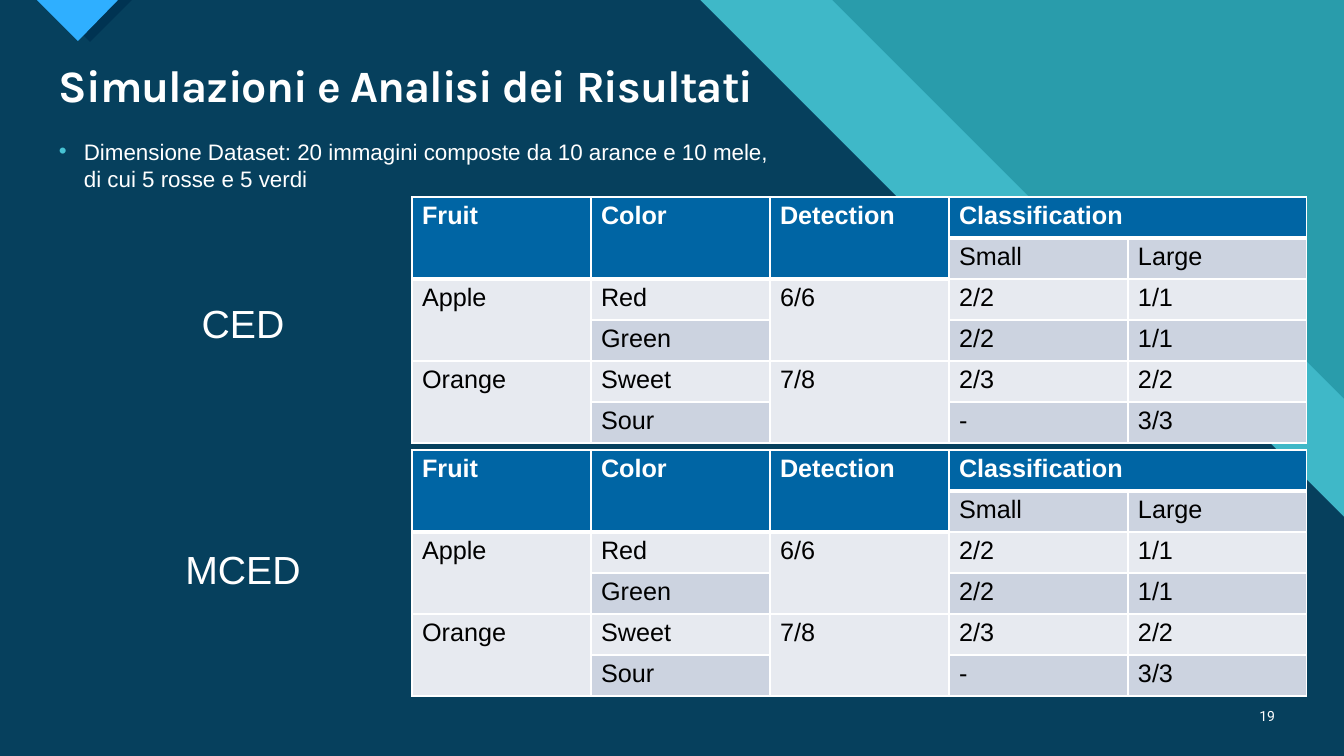
from lxml.etree import SubElement
from pptx import Presentation
from pptx.dml.color import RGBColor
from pptx.enum.text import MSO_ANCHOR, PP_ALIGN
from pptx.oxml.ns import qn
from pptx.util import Pt

EMU_PER_PX = 914400 / 100.8
SLIDE_W, SLIDE_H = 1344, 756

WHITE, BLACK = "FFFFFF", "000000"
NAVY, TEAL, AQUA, SKY = "003352", "299CAB", "47C3D3", "2FAFFF"
HEADING_BLUE, BAND_LIGHT, BAND_DARK = "0065A4", "E7EAF0", "CCD3E0"

COLUMN_W, ROW_H = 179, 41
HEADING_ROWS = [2, 2, 2, 1, 1]
RESULTS = [
    ["Fruit", "Color", "Detection", "Classification", ""],
    ["", "", "", "Small", "Large"],
    ["Apple", "Red", "6/6", "2/2", "1/1"],
    ["", "Green", "", "2/2", "1/1"],
    ["Orange", "Sweet", "7/8", "2/3", "2/2"],
    ["", "Sour", "", "-", "3/3"],
]
# Merged areas: first row, first column, last row, last column
MERGES = [(0, 0, 1, 0), (0, 1, 1, 1), (0, 2, 1, 2), (0, 3, 0, 4),
          (2, 0, 3, 0), (2, 2, 3, 2), (4, 0, 5, 0), (4, 2, 5, 2)]


def px(length):
    return round(length * EMU_PER_PX)


def rgb(color):
    return RGBColor.from_string(color)


def write_text(frame, text, size=18, font="Arial", color=WHITE, bold=False,
               align=PP_ALIGN.LEFT, line_spacing=None, tracking=None, bullet=None):
    paragraph = frame.paragraphs[0]
    paragraph.alignment = align
    if line_spacing:
        paragraph.line_spacing = line_spacing
    if bullet:
        properties = paragraph._p.get_or_add_pPr()
        properties.set("marL", str(px(25)))
        properties.set("indent", str(-px(25)))
        bullet_color = SubElement(properties, qn("a:buClr"))
        SubElement(bullet_color, qn("a:srgbClr"), val=bullet)
        SubElement(properties, qn("a:buFont"), typeface="Arial")
        SubElement(properties, qn("a:buChar"), char="•")
    run = paragraph.add_run()
    run.text = text
    run.font.size = Pt(size)
    run.font.name = font
    run.font.bold = bold
    run.font.color.rgb = rgb(color)
    if tracking:
        run._r.get_or_add_rPr().set("spc", str(tracking))


def add_label(slide, box, text, anchor=MSO_ANCHOR.TOP, **text_format):
    frame = slide.shapes.add_textbox(*map(px, box)).text_frame
    frame.word_wrap = True
    frame.vertical_anchor = anchor
    write_text(frame, text, **text_format)


def add_polygon(slide, points, color, opacity=100):
    builder = slide.shapes.build_freeform(*points[0], scale=EMU_PER_PX)
    builder.add_line_segments(points[1:], close=True)
    polygon = builder.convert_to_shape()
    polygon.shadow.inherit = False
    polygon.line.fill.background()
    polygon.fill.solid()
    polygon.fill.fore_color.rgb = rgb(color)
    if opacity < 100:
        fill_color = polygon._element.spPr.find(".//" + qn("a:srgbClr"))
        SubElement(fill_color, qn("a:alpha"), val=str(opacity * 1000))


def add_borders(cell, top, bottom):
    properties = cell._tc.get_or_add_tcPr()
    for side, width in (("L", 1), ("R", 1), ("T", top), ("B", bottom)):
        border = SubElement(properties, qn(f"a:ln{side}"), w=str(Pt(width)))
        fill = SubElement(border, qn("a:solidFill"))
        SubElement(fill, qn("a:srgbClr"), val=WHITE)


def add_results(slide, left, top):
    rows, columns = len(RESULTS), len(HEADING_ROWS)
    table = slide.shapes.add_table(
        rows, columns, px(left), px(top),
        px(columns * COLUMN_W), px(rows * ROW_H)).table
    table.first_row = table.horz_banding = False
    for column in table.columns:
        column.width = px(COLUMN_W)
    for row in table.rows:
        row.height = px(ROW_H)
    for r1, c1, r2, c2 in MERGES:
        table.cell(r1, c1).merge(table.cell(r2, c2))

    for r, values in enumerate(RESULTS):
        for c, value in enumerate(values):
            cell = table.cell(r, c)
            heading = r < HEADING_ROWS[c]
            below_heading = r == HEADING_ROWS[c]
            add_borders(cell, 3 if below_heading else 1, 3 if heading else 1)
            band = BAND_DARK if r % 2 else BAND_LIGHT
            cell.fill.solid()
            cell.fill.fore_color.rgb = rgb(HEADING_BLUE if heading else band)
            if value:
                write_text(cell.text_frame, value, bold=heading,
                           color=WHITE if heading else BLACK)


def add_backdrop(slide):
    slide.background.fill.solid()
    slide.background.fill.fore_color.rgb = rgb(TEAL)
    # Diagonal bands
    add_polygon(slide, [(0, 0), (832, 0), (1131, 299), (1244, 299),
                        (SLIDE_W, 399), (SLIDE_W, SLIDE_H), (0, SLIDE_H)], AQUA, 74)
    add_polygon(slide, [(0, 0), (700, 0), (1000, 300), (1127, 300),
                        (SLIDE_W, 517), (SLIDE_W, SLIDE_H), (0, SLIDE_H)], NAVY, 90)
    # Corner marker over its shade
    add_polygon(slide, [(48, 0), (132, 0), (90, 42)], NAVY)
    add_polygon(slide, [(37, 0), (118, 0), (78, 41)], SKY)


def main():
    deck = Presentation()
    deck.slide_width, deck.slide_height = px(SLIDE_W), px(SLIDE_H)
    slide = deck.slides.add_slide(deck.slide_layouts[6])
    add_backdrop(slide)

    # Heading and introduction
    add_label(slide, (49, 59, 1236, 59), "Simulazioni e Analisi dei Risultati",
              size=32, font="Karla", bold=True, line_spacing=0.9, tracking=-70)
    add_label(slide, (49, 133, 741, 62),
              "Dimensione Dataset: 20 immagini composte da 10 arance e 10 mele, "
              "di cui 5 rosse e 5 verdi", size=16, bullet=AQUA)

    # Results of each method
    add_results(slide, 412, 197)
    add_results(slide, 412, 450)
    add_label(slide, (183, 294, 120, 58), "CED", size=28, align=PP_ALIGN.CENTER)
    add_label(slide, (163, 540, 160, 58), "MCED", size=28, align=PP_ALIGN.CENTER)

    # Page number
    add_label(slide, (1241, 696, 44, 40), "19", anchor=MSO_ANCHOR.MIDDLE,
              size=10, font="Roboto", align=PP_ALIGN.RIGHT)
    deck.save("out.pptx")


if __name__ == "__main__":
    main()
